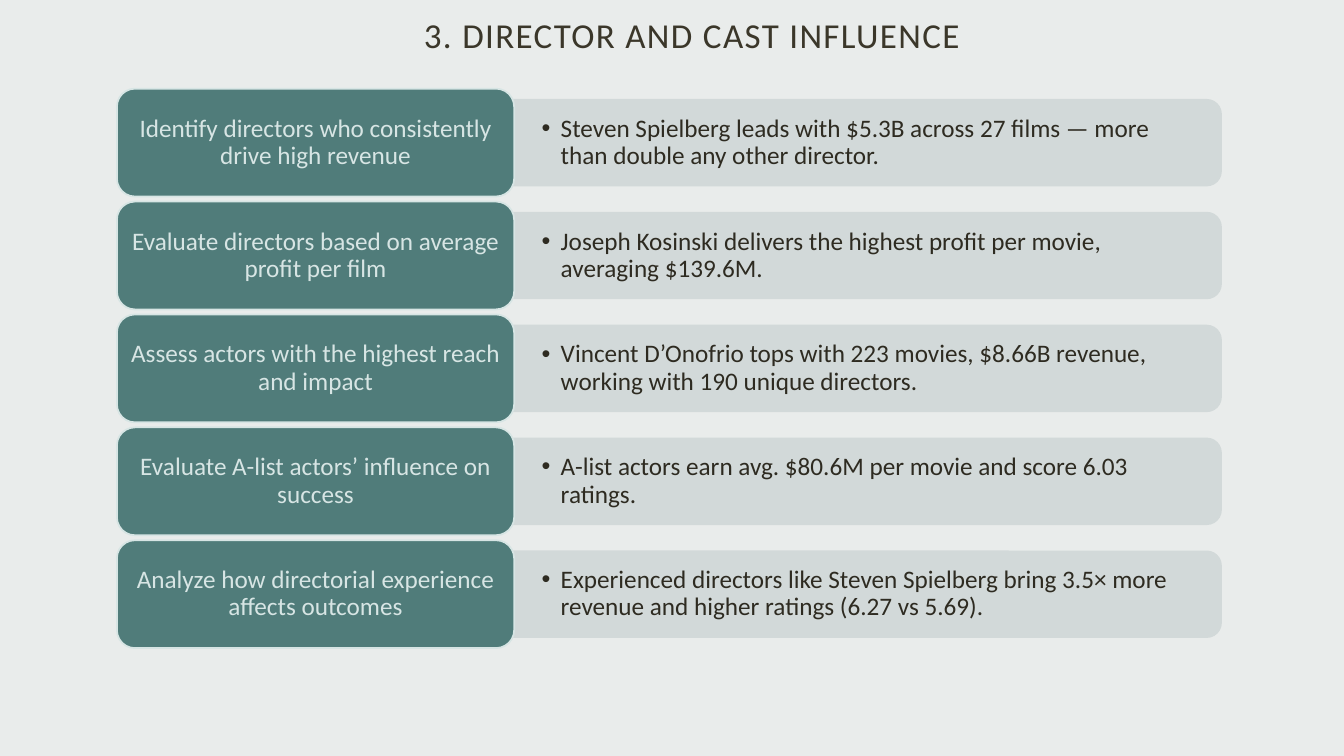
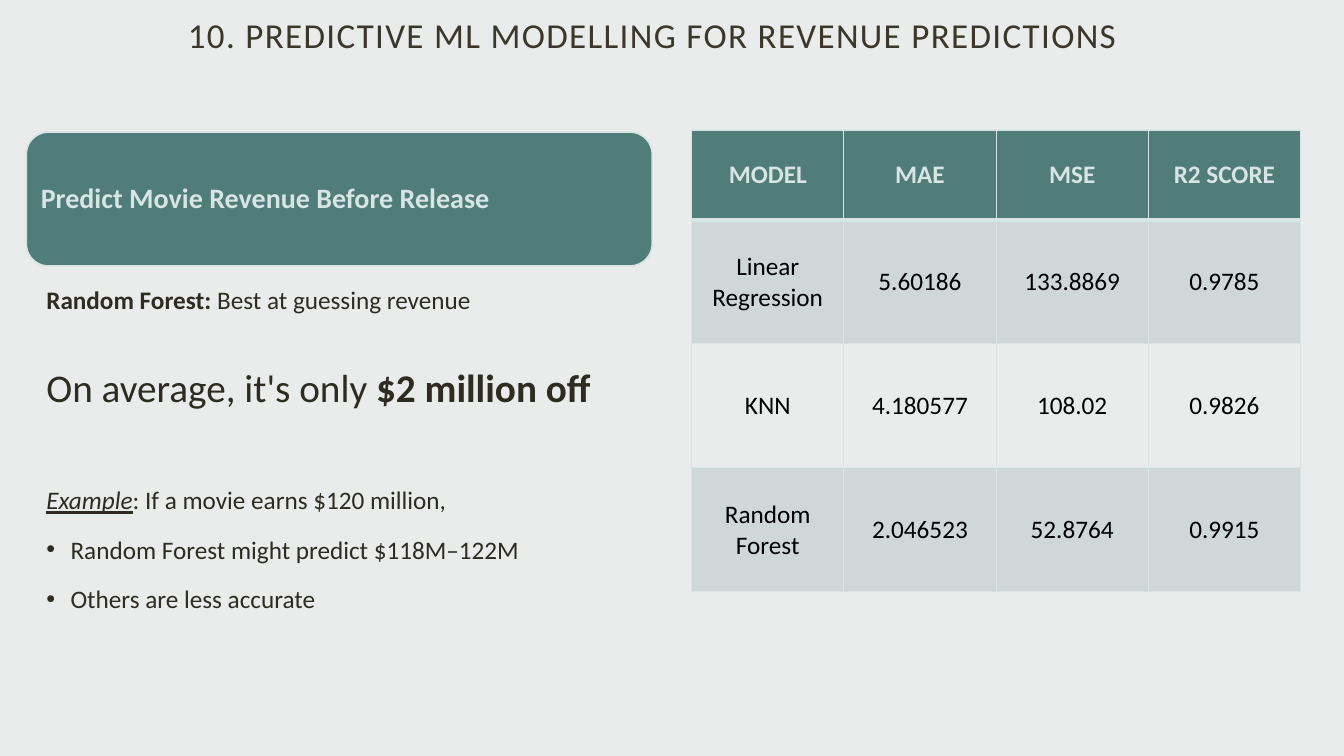
import pptx
import pptx.dml.color
import pptx.enum.shapes
import pptx.enum.text
import pptx.oxml
import pptx.oxml.ns
import pptx.util
from pptx.dml.color import RGBColor
from pptx.util import Inches

FONT = "Calibri"
BACKGROUND = RGBColor(0xE9, 0xEC, 0xEB)
TEAL = RGBColor(0x50, 0x7C, 0x7A)
PALE_TEAL = RGBColor(0xD7, 0xE5, 0xE4)
BAR_GREY = RGBColor(0xD2, 0xD9, 0xD9)
ROW_GREY = RGBColor(0xD0, 0xD7, 0xD7)
TITLE_BROWN = RGBColor(0x3B, 0x37, 0x2A)
TEXT_BROWN = RGBColor(0x2E, 0x2B, 0x21)
BLACK = RGBColor(0, 0, 0)

LEFT = pptx.enum.text.PP_ALIGN.LEFT
CENTER = pptx.enum.text.PP_ALIGN.CENTER
TOP = pptx.enum.text.MSO_ANCHOR.TOP
MIDDLE = pptx.enum.text.MSO_ANCHOR.MIDDLE

INFLUENCES = [
    ("Identify directors who consistently drive high revenue",
     "Steven Spielberg leads with $5.3B across 27 films — more than double any other director."),
    ("Evaluate directors based on average profit per film",
     "Joseph Kosinski delivers the highest profit per movie, averaging $139.6M."),
    ("Assess actors with the highest reach and impact",
     "Vincent D’Onofrio tops with 223 movies, $8.66B revenue, working with 190 unique directors."),
    ("Evaluate A-list actors’ influence on success",
     "A-list actors earn avg. $80.6M per movie and score 6.03 ratings."),
    ("Analyze how directorial experience affects outcomes",
     "Experienced directors like Steven Spielberg bring 3.5× more revenue and higher ratings (6.27 vs 5.69)."),
]

MODEL_SCORES = [
    ("MODEL", "MAE", "MSE", "R2 SCORE"),
    ("Linear Regression", "5.60186", "133.8869", "0.9785"),
    ("KNN", "4.180577", "108.02", "0.9826"),
    ("Random Forest", "2.046523", "52.8764", "0.9915"),
]


def add_run(paragraph, text, size=18, color=TEXT_BROWN, bold=False, italic=False,
            underline=False, spacing=0):
    run = paragraph.add_run()
    run.text = text
    font = run.font
    font.name = FONT
    font.size = pptx.util.Pt(size)
    font.color.rgb = color
    font.bold = bold
    font.italic = italic
    font.underline = underline
    if spacing:
        run._r.get_or_add_rPr().set("spc", str(spacing * 100))


def write(frame, text, align=LEFT, line_spacing=0.9, space_after=0, bullet_indent=0,
          tail="", tail_format=None, **run_format):
    paragraph = frame.paragraphs[0]
    if paragraph.runs:
        paragraph = frame.add_paragraph()
    paragraph.alignment = align
    paragraph.line_spacing = line_spacing
    paragraph.space_after = pptx.util.Pt(space_after)
    if bullet_indent:
        properties = paragraph._p.get_or_add_pPr()
        properties.set("marL", str(Inches(bullet_indent)))
        properties.set("indent", str(-Inches(bullet_indent)))
        namespace = pptx.oxml.ns.nsdecls("a")
        properties.append(pptx.oxml.parse_xml(f'<a:buFont {namespace} typeface="Arial"/>'))
        properties.append(pptx.oxml.parse_xml(f'<a:buChar {namespace} char="•"/>'))
    add_run(paragraph, text, **run_format)
    if tail:
        add_run(paragraph, tail, **(tail_format or {}))


def set_frame(frame, insets=(0.1, 0.05, 0.1, 0.05), anchor=MIDDLE):
    frame.word_wrap = True
    frame.vertical_anchor = anchor
    (frame.margin_left, frame.margin_top,
     frame.margin_right, frame.margin_bottom) = map(Inches, insets)
    return frame


def add_text_box(slide, left, top, width, height, **frame_format):
    shape = slide.shapes.add_textbox(*map(Inches, (left, top, width, height)))
    return set_frame(shape.text_frame, **frame_format)


def add_rounded_box(slide, left, top, width, height, fill, line, **frame_format):
    shape = slide.shapes.add_shape(
        pptx.enum.shapes.MSO_SHAPE.ROUNDED_RECTANGLE,
        *map(Inches, (left, top, width, height)))
    shape.shadow.inherit = False
    shape.fill.solid()
    shape.fill.fore_color.rgb = fill
    shape.line.color.rgb = line
    shape.line.width = pptx.util.Pt(1.25)
    return set_frame(shape.text_frame, **frame_format)


def add_slide(presentation, title, title_width):
    slide = presentation.slides.add_slide(presentation.slide_layouts[6])
    slide.background.fill.solid()
    slide.background.fill.fore_color.rgb = BACKGROUND
    frame = add_text_box(slide, 1.16, 0.06, title_width, 0.65)
    write(frame, title, align=CENTER, line_spacing=0.8, size=25, color=TITLE_BROWN, spacing=1)
    return slide


def add_influence_row(slide, top, label, finding):
    bar = add_rounded_box(slide, 4.8, top + 0.11, 7.31, 0.85, BAR_GREY, BAR_GREY,
                          insets=(0.53, 0.04, 0.27, 0.04))
    write(bar, finding, bullet_indent=0.19)
    box = add_rounded_box(slide, 1.16, top, 3.94, 1.07, TEAL, PALE_TEAL,
                          insets=(0.07, 0.04, 0.07, 0.04))
    write(box, label, align=CENTER, color=PALE_TEAL)


def set_border(cell, side, width):
    cell._tc.get_or_add_tcPr().append(pptx.oxml.parse_xml(
        f'<a:ln{side} {pptx.oxml.ns.nsdecls("a")} w="{pptx.util.Pt(width)}">'
        f'<a:solidFill><a:srgbClr val="{PALE_TEAL}"/></a:solidFill></a:ln{side}>'))


def fill_cell(cell, text, row):
    header = row == 0
    widths = {"L": 1, "R": 1, "T": 3 if row == 1 else 1, "B": 3 if header else 1}
    for side, width in widths.items():
        set_border(cell, side, width)
    cell.fill.solid()
    cell.fill.fore_color.rgb = TEAL if header else ROW_GREY if row % 2 else BACKGROUND
    cell.vertical_anchor = MIDDLE
    if not header:
        cell.margin_left = cell.margin_right = cell.margin_top = Inches(0.01)
        cell.margin_bottom = 0
    write(cell.text_frame, text, align=CENTER, line_spacing=1.0, bold=header,
          color=PALE_TEAL if header else BLACK)


def add_score_table(slide, rows):
    table = slide.shapes.add_table(
        len(rows), len(rows[0]), *map(Inches, (6.86, 1.29, 6.04, 4.58))).table
    table.horz_banding = False
    for column in table.columns:
        column.width = Inches(1.51)
    for index, texts in enumerate(rows):
        table.rows[index].height = Inches(1.23 if index else 0.89)
        for column, text in enumerate(texts):
            fill_cell(table.cell(index, column), text, index)


def build_influence_slide(presentation):
    slide = add_slide(presentation, "3. DIRECTOR AND CAST INFLUENCE", 11.41)
    for index, (label, finding) in enumerate(INFLUENCES):
        add_influence_row(slide, 0.88 + 1.12 * index, label, finding)


def build_prediction_slide(presentation):
    slide = add_slide(presentation, "10. PREDICTIVE ML MODELLING FOR REVENUE PREDICTIONS", 10.63)
    banner = add_rounded_box(slide, 0.26, 1.31, 6.21, 1.33, TEAL, PALE_TEAL,
                             insets=(0.08, 0.08, 0.08, 0.08))
    write(banner, "Predict Movie Revenue Before Release", size=20, color=PALE_TEAL, bold=True)

    notes = add_text_box(slide, 0.26, 2.64, 6.21, 3.24,
                         insets=(0.2, 0.03, 0.14, 0.03), anchor=TOP)
    write(notes, "Random Forest: ", bold=True, tail="Best at guessing revenue",
          line_spacing=1.5, space_after=38.5)
    write(notes, "On average, it's only ", size=28, tail="$2 million off",
          tail_format={"size": 28, "bold": True}, space_after=42)
    write(notes, "Example", italic=True, underline=True,
          tail=": If a movie earns $120 million,", line_spacing=1.5, space_after=2.8)
    for text in ("Random Forest might predict $118M–122M", "Others are less accurate"):
        write(notes, text, line_spacing=1.5, space_after=2.8, bullet_indent=0.24)

    add_score_table(slide, MODEL_SCORES)


def main():
    presentation = pptx.Presentation()
    presentation.slide_width = Inches(13.33)
    presentation.slide_height = Inches(7.5)
    build_influence_slide(presentation)
    build_prediction_slide(presentation)
    presentation.save("out.pptx")


if __name__ == "__main__":
    main()
